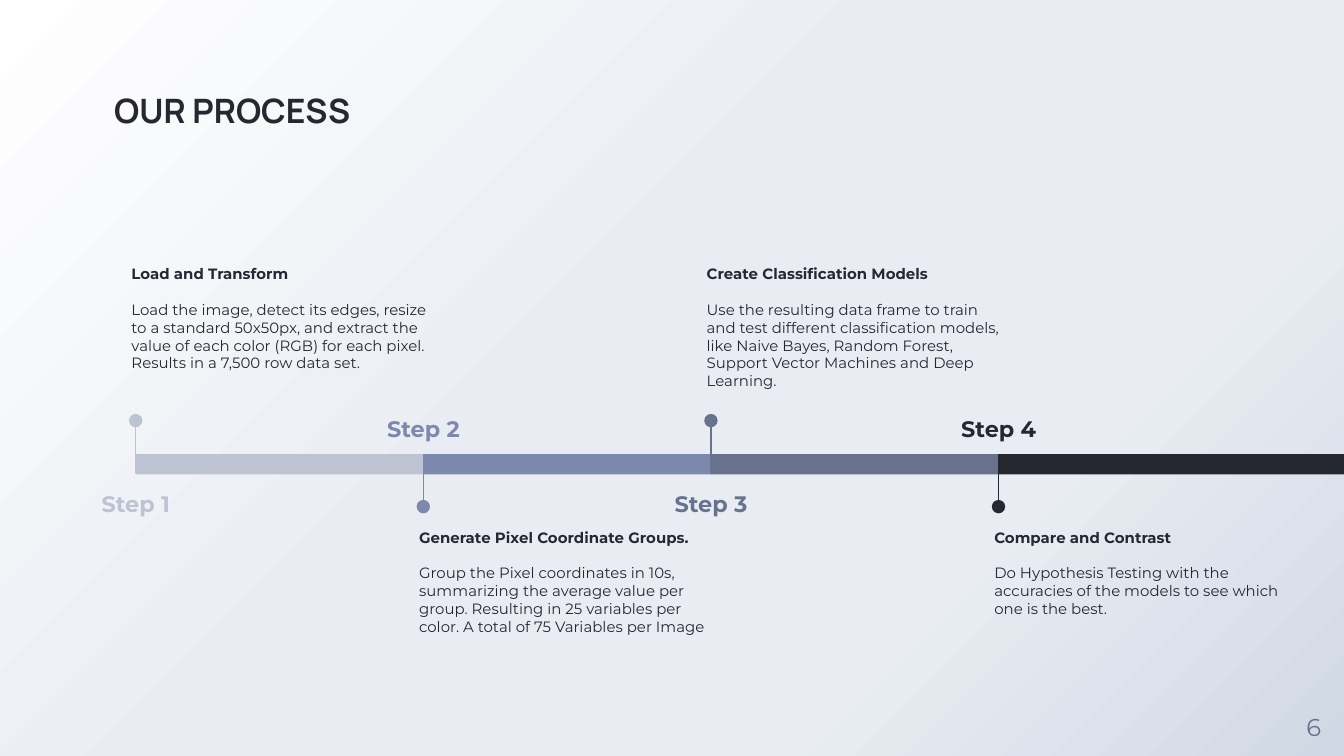
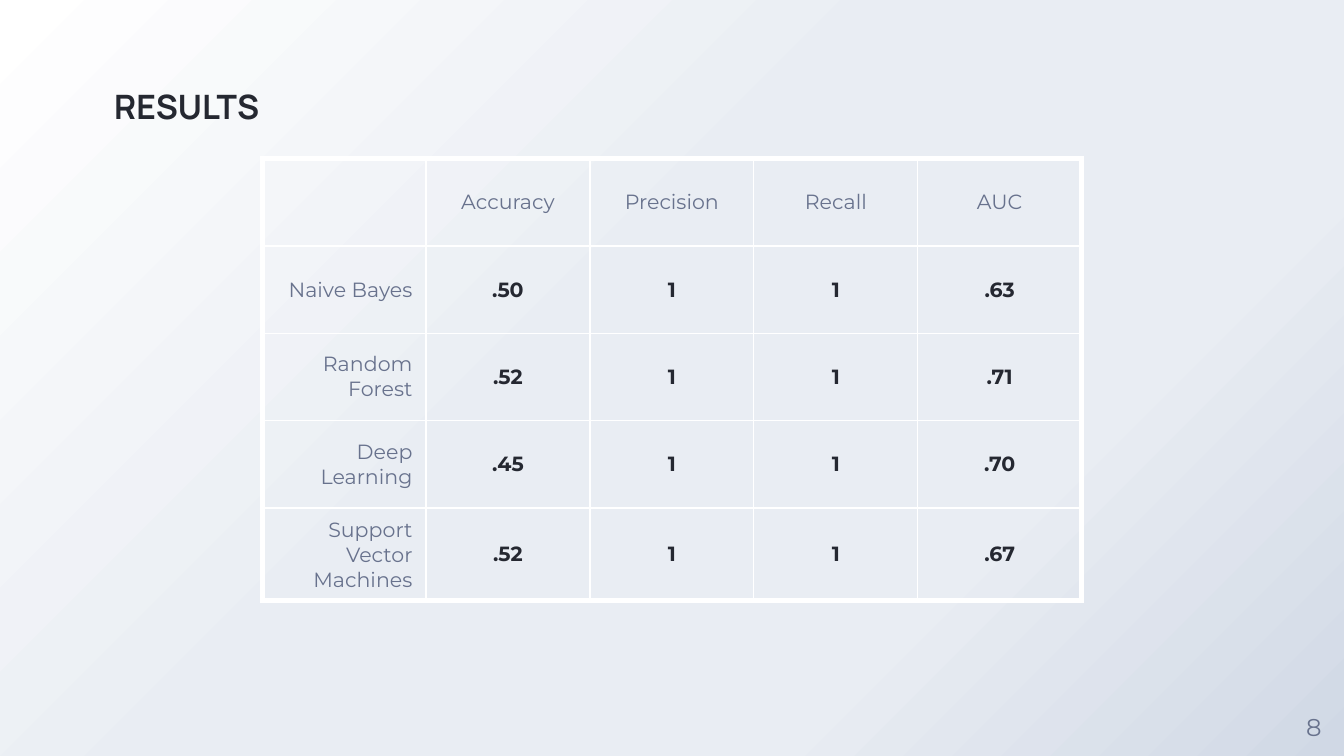
from lxml.etree import SubElement
from pptx import Presentation
from pptx.dml.color import RGBColor
from pptx.enum.shapes import MSO_CONNECTOR, MSO_SHAPE
from pptx.enum.text import MSO_ANCHOR, PP_ALIGN
from pptx.oxml import parse_xml
from pptx.oxml.ns import nsdecls, qn
from pptx.util import Inches, Pt

WIDTH = Inches(10)
HEIGHT = WIDTH * 9 // 16
UNIT = WIDTH // 100

INK = RGBColor(0x25, 0x28, 0x31)
SLATE = RGBColor(0x68, 0x72, 0x8D)
PERIWINKLE = RGBColor(0x7D, 0x89, 0xAC)
SILVER = RGBColor(0xBD, 0xC3, 0xD3)
WHITE = RGBColor(0xFF, 0xFF, 0xFF)
MIST = RGBColor(0xE9, 0xED, 0xF3)
HAZE = RGBColor(0xD0, 0xD8, 0xE5)
BACKDROP = [(0, WHITE), (44, MIST), (72, MIST), (100, HAZE)]

HEADING_FONT = "Manrope"
BODY_FONT = "Montserrat"

FIRST_STEP, STEP_WIDTH = 10.1, 21.4
BAR_TOP, BAR_HEIGHT = 33.8, 1.5
DOT = 1

STEPS = [
    ("Step 1", SILVER, "Load and Transform",
     "Load the image, detect its edges, resize to a standard 50x50px, and extract "
     "the value of each color (RGB) for each pixel. Results in a 7,500 row data set."),
    ("Step 2", PERIWINKLE, "Generate Pixel Coordinate Groups.",
     "Group the Pixel coordinates in 10s, summarizing the average value per group. "
     "Resulting in 25 variables per color. A total of 75 Variables per Image"),
    ("Step 3", SLATE, "Create Classification Models",
     "Use the resulting data frame to train and test different classification models, "
     "like Naive Bayes, Random Forest, Support Vector Machines and Deep Learning."),
    ("Step 4", INK, "Compare and Contrast",
     "Do Hypothesis Testing with the accuracies of the models to see which one is the best."),
]

RESULTS = [
    ("", "Accuracy", "Precision", "Recall", "AUC"),
    ("Naive Bayes", ".50", "1", "1", ".63"),
    ("Random Forest", ".52", "1", "1", ".71"),
    ("Deep Learning", ".45", "1", "1", ".70"),
    ("Support Vector Machines", ".52", "1", "1", ".67"),
]


def grid(*cells):
    """Turn counts of grid squares, a hundred across the slide, into lengths."""
    return [round(UNIT * cell) for cell in cells]


def style(para, size, color, bold=False, font=BODY_FONT, align=PP_ALIGN.LEFT):
    """Set the font and alignment of a paragraph."""
    para.font.name, para.font.size, para.font.bold = font, Pt(size), bold
    para.font.color.rgb = color
    para.alignment = align


def add_text(page, place, text, size, color, inset=0, anchor=MSO_ANCHOR.TOP, **look):
    """Add a wrapping text box and return its frame."""
    frame = page.shapes.add_textbox(*grid(*place)).text_frame
    frame.word_wrap = True
    frame.vertical_anchor = anchor
    frame.margin_left = frame.margin_right = Inches(inset)
    frame.margin_top = frame.margin_bottom = Inches(inset)
    frame.text = text
    style(frame.paragraphs[0], size, color, **look)
    return frame


def paint_background(page):
    """Fill the page with the shared gradient that spreads from the top left."""
    page.background.fill.solid()
    stops = "".join(
        f'<a:gs pos="{share * 1000}"><a:srgbClr val="{color}"/></a:gs>'
        for share, color in BACKDROP)
    gradient = parse_xml(
        f'<a:gradFill {nsdecls("a")}><a:gsLst>{stops}</a:gsLst>'
        '<a:path path="circle"><a:fillToRect r="100000" b="100000"/></a:path></a:gradFill>')
    plain = page.background.fill._xPr.find(qn("a:solidFill"))
    plain.getparent().replace(plain, gradient)


def add_page(deck, title, title_place, number):
    """Add a page with the shared background, title and page number."""
    page = deck.slides.add_slide(deck.slide_layouts[6])
    paint_background(page)
    add_text(page, title_place, title, 18, INK, anchor=MSO_ANCHOR.BOTTOM,
             bold=True, font=HEADING_FONT)
    add_text(page, (95.5, 51.8, 4.5, 4.5), number, 13, SLATE,
             anchor=MSO_ANCHOR.MIDDLE, align=PP_ALIGN.CENTER)
    return page


def add_block(page, kind, place, color):
    """Add a flat shape in one colour."""
    block = page.shapes.add_shape(kind, *grid(*place))
    block.shadow.inherit = False
    block.fill.solid()
    block.fill.fore_color.rgb = color
    block.line.fill.background()


def add_stem(page, x, top, bottom, color):
    """Add the thin upright line that joins a dot to the bar."""
    stem = page.shapes.add_connector(MSO_CONNECTOR.STRAIGHT, *grid(x, top, x, bottom))
    stem.line.color.rgb = color
    stem.line.width = Pt(0.75)
    SubElement(stem._element.spPr, qn("a:effectLst"))


def add_step(page, index, label, color, heading, detail):
    """Add one step, described above the bar if even and below it if odd."""
    x = FIRST_STEP + STEP_WIDTH * index
    above = index % 2 == 0
    end = 100 if index == len(STEPS) - 1 else x + STEP_WIDTH
    stem_top, stem_bottom = (31.3, 35.2) if above else (33.8, 37.7)
    dot_top = (stem_top if above else stem_bottom) - DOT / 2
    add_block(page, MSO_SHAPE.RECTANGLE, (x, BAR_TOP, end - x, BAR_HEIGHT), color)
    add_stem(page, x, stem_top, stem_bottom, color)
    add_block(page, MSO_SHAPE.OVAL, (x - DOT / 2, dot_top, DOT, DOT), color)

    tag = add_text(page, (x - 4.1, 35.2 if above else 29.6, 8.2, 4.1), label, 12, color,
                   inset=0.1, bold=True, align=PP_ALIGN.CENTER)
    tag.paragraphs[0].line_spacing = 1.15

    note = add_text(page, (x - 1.3, 18.7 if above else 38.3, 24.6, 10.3), heading, 8, INK,
                    inset=0.1, bold=True)
    note.paragraphs[0].space_after = Pt(9.5)
    para = note.add_paragraph()
    para.text = detail
    style(para, 8, INK)


def add_borders(cell, edges):
    """Draw the white borders of a cell, thick on the sides given as True."""
    properties = cell._tc.get_or_add_tcPr()
    for order, (side, outer) in enumerate(zip("LRTB", edges)):
        width = Pt(3 if outer else 0.75)
        properties.insert(order, parse_xml(
            f'<a:ln{side} {nsdecls("a")} w="{width}"><a:solidFill>'
            f'<a:srgbClr val="{WHITE}"/></a:solidFill></a:ln{side}>'))


def add_results(page, rows):
    """Add the table of model scores."""
    last_row, last_column = len(rows) - 1, len(rows[0]) - 1
    place = grid(19.5, 11.8, 12.2 * len(rows[0]), 6.5 * len(rows))
    table = page.shapes.add_table(len(rows), len(rows[0]), *place).table
    table.first_row = table.horz_banding = False
    for r, row in enumerate(rows):
        for c, text in enumerate(row):
            cell = table.cell(r, c)
            cell.fill.background()
            cell.vertical_anchor = MSO_ANCHOR.MIDDLE
            cell.margin_top = cell.margin_bottom = Inches(0.07)
            cell.text = text
            score = r > 0 and c > 0
            style(cell.text_frame.paragraphs[0], 11, INK if score else SLATE, bold=score,
                  align=PP_ALIGN.CENTER if c else PP_ALIGN.RIGHT)
            add_borders(cell, (c == 0, c == last_column, r == 0, r == last_row))


def main():
    """Build the deck and save it."""
    deck = Presentation()
    deck.slide_width, deck.slide_height = WIDTH, HEIGHT

    process = add_page(deck, "OUR PROCESS", (8.5, 4.4, 22.7, 5.3), "6")
    for index, step in enumerate(STEPS):
        add_step(process, index, *step)

    results = add_page(deck, "RESULTS", (8.5, 0, 39.2, 9.4), "8")
    add_results(results, RESULTS)

    deck.save("out.pptx")


if __name__ == "__main__":
    main()
